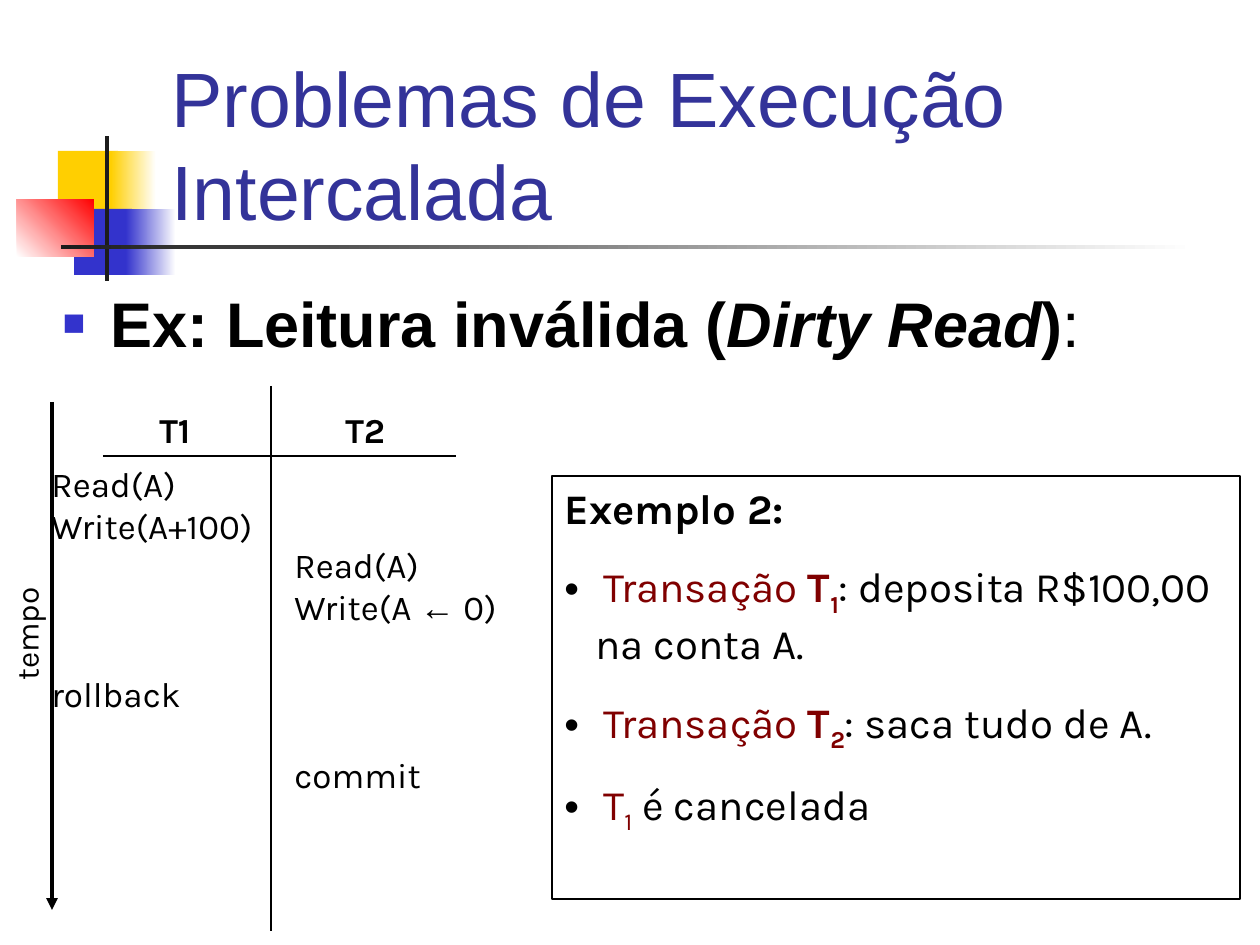
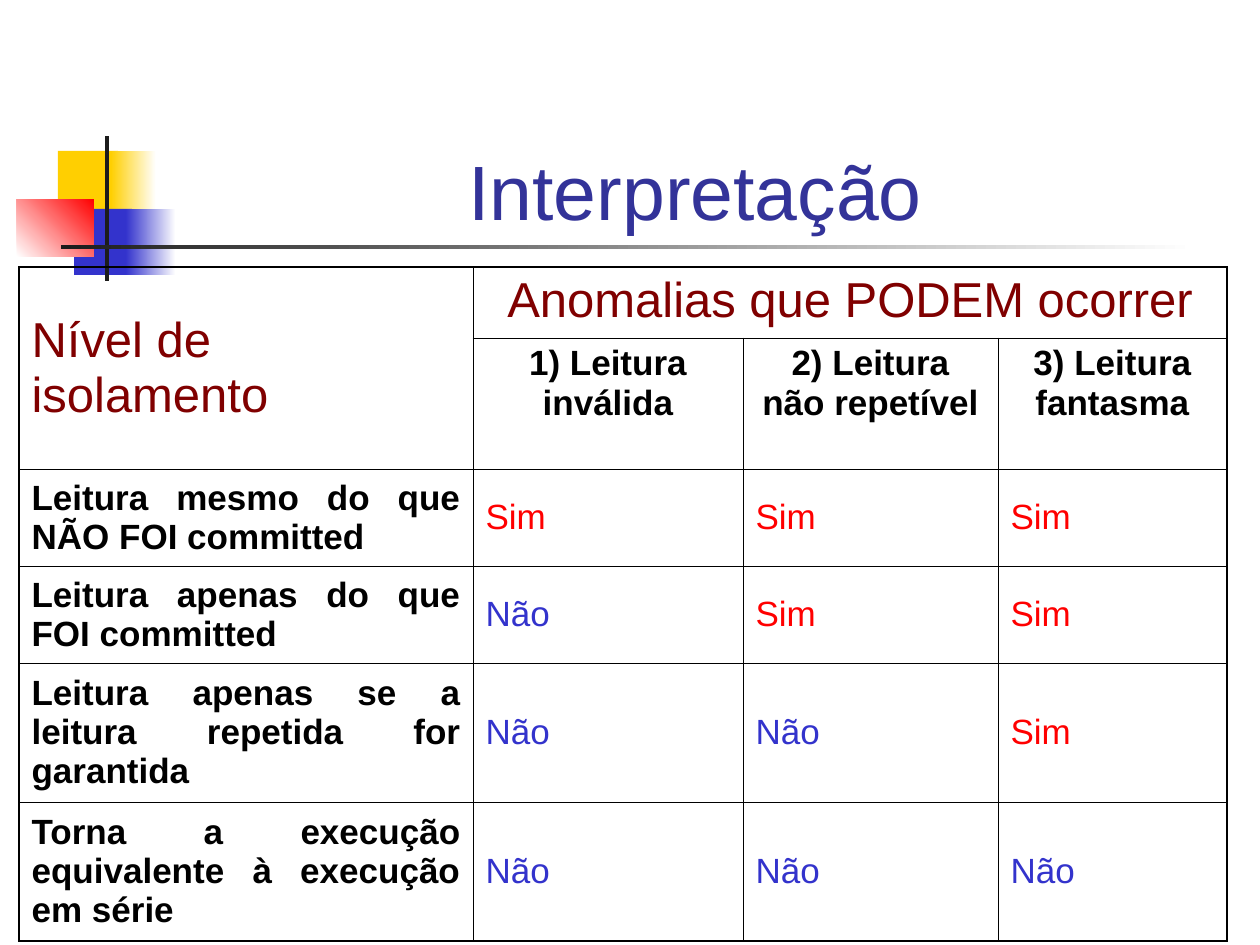
from lxml import etree
from pptx import Presentation
from pptx.dml.color import RGBColor
from pptx.enum.shapes import MSO_CONNECTOR, MSO_SHAPE
from pptx.enum.text import MSO_ANCHOR, MSO_AUTO_SIZE, PP_ALIGN
from pptx.oxml.ns import qn
from pptx.util import Pt

RECT = MSO_SHAPE.RECTANGLE
STRAIGHT = MSO_CONNECTOR.STRAIGHT
LEFT, CENTER, JUSTIFY = PP_ALIGN.LEFT, PP_ALIGN.CENTER, PP_ALIGN.JUSTIFY
TOP, MIDDLE, BOTTOM = MSO_ANCHOR.TOP, MSO_ANCHOR.MIDDLE, MSO_ANCHOR.BOTTOM
NO_FIT, GROW = MSO_AUTO_SIZE.NONE, MSO_AUTO_SIZE.SHAPE_TO_FIT_TEXT

EMU_PER_PX = 914400 / 126
COLORS = {
    "black": "000000", "white": "FFFFFF", "ink": "1C1C1C", "title": "333399",
    "blue": "3333CC", "yellow": "FFCF01", "red": "FF0000", "maroon": "800000",
}

# Master decoration: left, top, width, height, gradient start, end, angle
DECORATION = [
    (58, 151, 60, 65, "yellow", None, 0),
    (111, 151, 45, 65, "yellow", "white", 0),
    (74, 209, 58, 66, "blue", None, 0),
    (126, 209, 50, 66, "blue", "white", 0),
    (17, 199, 77, 58, "white", "red", 45),
    (105, 136, 4, 145, "ink", None, 0),
    (61, 245, 1134, 4, "ink", "white", 0),
]

COLUMN_WIDTHS = [454, 270, 255, 229]
ROW_HEIGHTS = [71, 131, 97, 97, 139, 139]
ANOMALIES = ["1) Leitura inválida", "2) Leitura não repetível", "3) Leitura fantasma"]
ISOLATION_LEVELS = [
    ("Leitura mesmo do que NÃO FOI committed", "Sim", "Sim", "Sim"),
    ("Leitura apenas do que FOI committed", "Não", "Sim", "Sim"),
    ("Leitura apenas se a leitura repetida for garantida", "Não", "Não", "Sim"),
    ("Torna a execução equivalente à execução em série", "Não", "Não", "Não"),
]
ANSWER_COLORS = {"Sim": "red", "Não": "blue"}


def px(value):
    return round(value * EMU_PER_PX)


def box(*lengths):
    return [px(length) for length in lengths]


def rgb(name):
    return RGBColor.from_string(COLORS[name])


# Text
def write(paragraph, text, size=20, font="Karla", color="black",
          bold=False, italic=False, subscript=False):
    run = paragraph.add_run()
    run.text = text
    run.font.size = Pt(size)
    run.font.name = font
    run.font.bold = bold
    run.font.italic = italic
    run.font.color.rgb = rgb(color)
    if subscript:
        run.font._element.set("baseline", "-25000")


def start_paragraph(frame, align=LEFT, before=0, margin=0, bullet=None,
                    bullet_color="black", bullet_percent=100):
    first = frame.paragraphs[0]
    paragraph = frame.add_paragraph() if first.runs else first
    paragraph.alignment = align
    paragraph.space_before = Pt(before)
    properties = paragraph._p.get_or_add_pPr()
    properties.set("marL", str(px(margin)))
    properties.set("indent", str(px(-margin if bullet else 0)))
    if bullet:
        color = etree.SubElement(properties, qn("a:buClr"))
        etree.SubElement(color, qn("a:srgbClr"), val=COLORS[bullet_color])
        etree.SubElement(properties, qn("a:buSzPct"), val=str(bullet_percent * 1000))
        etree.SubElement(properties, qn("a:buFont"), typeface="Arial")
        etree.SubElement(properties, qn("a:buChar"), char=bullet)
    return paragraph


def set_title(slide, text, align=LEFT):
    title = slide.shapes.title
    title.left, title.top, title.width, title.height = box(159, 84, 1073, 158)
    frame = title.text_frame
    frame.auto_size = NO_FIT
    frame.vertical_anchor = BOTTOM
    write(start_paragraph(frame, align), text, size=44, font="Arial", color="title")


def add_label(slide, left, top, width, height, rotation=0):
    label = slide.shapes.add_textbox(*box(left, top, width, height))
    label.rotation = rotation
    frame = label.text_frame
    frame.word_wrap = False
    frame.auto_size = GROW
    return frame


# Shapes and lines
def add_rect(slide, left, top, width, height):
    rect = slide.shapes.add_shape(RECT, *box(left, top, width, height))
    rect.shadow.inherit = False
    return rect


def add_line(slide, x1, y1, x2, y2, weight=1.5, arrow=False):
    connector = slide.shapes.add_connector(STRAIGHT, *box(x1, y1, x2, y2))
    connector.line.color.rgb = rgb("black")
    connector.line.width = Pt(weight)
    if arrow:
        etree.SubElement(connector.line._get_or_add_ln(), qn("a:tailEnd"), type="triangle")
    etree.SubElement(connector._element.spPr, qn("a:effectLst"))


def decorate_master(master, slide):
    """Draw the coloured blocks and rules, then hand them to the master."""
    for number, (left, top, width, height, start, end, angle) in enumerate(DECORATION):
        block = add_rect(slide, left, top, width, height)
        block.line.fill.background()
        if end:
            block.fill.gradient()
            block.fill.gradient_angle = angle
            for stop, color in zip(block.fill.gradient_stops, (start, end)):
                stop.color.rgb = rgb(color)
        else:
            block.fill.solid()
            block.fill.fore_color.rgb = rgb(start)
        block.element.nvSpPr.cNvPr.id = 100 + number
        master.shapes.element.append(block.element)


# Table
def write_cell(cell, text, align=LEFT, anchor=MIDDLE, before=5, **font_format):
    cell.vertical_anchor = anchor
    write(start_paragraph(cell.text_frame, align, before), text, font="Arial", **font_format)


def set_borders(cell, outer_sides):
    properties = cell._tc.get_or_add_tcPr()
    for position, side in enumerate("LRTB"):
        weight = 1.08 if side in outer_sides else 0.45
        line = etree.Element(qn(f"a:ln{side}"), w=str(Pt(weight)))
        fill = etree.SubElement(line, qn("a:solidFill"))
        etree.SubElement(fill, qn("a:srgbClr"), val=COLORS["black"])
        properties.insert(position, line)


def add_grid(slide, left, top, widths, heights):
    frame = slide.shapes.add_table(
        len(heights), len(widths), *box(left, top, sum(widths), sum(heights)))
    table = frame.table
    table.first_row = table.horz_banding = False
    for column, width in zip(table.columns, widths):
        column.width = px(width)
    for row, height in zip(table.rows, heights):
        row.height = px(height)
    return table


def frame_grid(table):
    last_row, last_column = len(table.rows), len(table.columns)
    for r in range(last_row):
        for c in range(last_column):
            cell = table.cell(r, c)
            cell.fill.background()
            at_edge = {"L": c == 0, "R": c + cell.span_width == last_column,
                       "T": r == 0, "B": r + cell.span_height == last_row}
            set_borders(cell, [side for side, outer in at_edge.items() if outer])


# Slides
def build_schedule(slide):
    for name, left in (("T1", 147), ("T2", 333)):
        write(start_paragraph(add_label(slide, left, 402, 66, 55)), name, bold=True)
    add_line(slide, 271, 386, 271, 931)
    add_line(slide, 103, 456, 456, 456)

    first_steps = add_label(slide, 39, 456, 237, 265)
    write(start_paragraph(first_steps), "Read(A)")
    write(start_paragraph(first_steps), "Write(A+100)")
    write(start_paragraph(first_steps, before=72), "rollback")

    second_steps = add_label(slide, 282, 537, 231, 265)
    write(start_paragraph(second_steps), "Read(A)")
    assignment = start_paragraph(second_steps)
    write(assignment, "Write(A ")
    write(assignment, "←", font="Arial")
    write(assignment, " 0)")
    write(start_paragraph(second_steps, before=72), "commit")

    add_line(slide, 52, 402, 52, 910, weight=2.25, arrow=True)
    write(start_paragraph(add_label(slide, -35, 607, 122, 50, rotation=270)), "tempo", size=18)


def build_example(slide):
    example = add_rect(slide, 552, 476, 688, 423)
    example.fill.background()
    example.line.color.rgb = rgb("black")
    example.line.width = Pt(0.75)
    frame = example.text_frame
    frame.word_wrap = True
    frame.vertical_anchor = TOP
    write(start_paragraph(frame), "Exemplo 2:", size=24, bold=True)

    def add_step(prefix, number, rest, bold, before):
        step = start_paragraph(frame, before=before, margin=39, bullet="•")
        if prefix:
            write(step, prefix, size=24, color="maroon")
        write(step, "T", size=24, color="maroon", bold=bold)
        write(step, number, size=24, color="maroon", bold=bold, subscript=True)
        write(step, rest, size=24)

    add_step("Transação ", "1", ": deposita R$100,00", True, 16)
    write(start_paragraph(frame, margin=31), "na conta A.", size=24)
    add_step("Transação ", "2", ": saca tudo de A.", True, 16)
    add_step("", "1", " é cancelada", False, 14)


def build_dirty_read(slide):
    set_title(slide, "Problemas de Execução Intercalada")
    topic = slide.placeholders[1]
    topic.left, topic.top, topic.width, topic.height = box(50, 278, 1183, 190)
    topic.text_frame.auto_size = NO_FIT
    heading = start_paragraph(topic.text_frame, before=9, margin=48, bullet="■",
                              bullet_color="blue", bullet_percent=60)
    write(heading, "Ex: Leitura inválida (", size=36, font="Arial", bold=True)
    write(heading, "Dirty Read", size=36, font="Arial", bold=True, italic=True)
    write(heading, ")", size=36, font="Arial", bold=True)
    write(heading, ":", size=36, font="Arial")
    build_schedule(slide)
    build_example(slide)


def build_interpretation(slide):
    set_title(slide, "Interpretação", CENTER)
    levels = add_grid(slide, 19, 267, COLUMN_WIDTHS, ROW_HEIGHTS)
    levels.cell(0, 0).merge(levels.cell(1, 0))
    levels.cell(0, 1).merge(levels.cell(0, 3))
    write_cell(levels.cell(0, 0), "Nível de isolamento", before=7, size=28, color="maroon")
    write_cell(levels.cell(0, 1), "Anomalias que PODEM ocorrer", CENTER, TOP,
               before=7, size=28, color="maroon")
    for c, anomaly in enumerate(ANOMALIES, start=1):
        write_cell(levels.cell(1, c), anomaly, CENTER, TOP, bold=True)
    for r, (level, *answers) in enumerate(ISOLATION_LEVELS, start=2):
        write_cell(levels.cell(r, 0), level, JUSTIFY, bold=True)
        for c, answer in enumerate(answers, start=1):
            write_cell(levels.cell(r, c), answer, color=ANSWER_COLORS[answer])
    frame_grid(levels)


def main():
    deck = Presentation()
    deck.slide_width, deck.slide_height = box(1260, 945)
    title_and_content, title_only = deck.slide_layouts[1], deck.slide_layouts[5]
    dirty_read = deck.slides.add_slide(title_and_content)
    decorate_master(deck.slide_master, dirty_read)
    build_dirty_read(dirty_read)
    build_interpretation(deck.slides.add_slide(title_only))
    deck.save("out.pptx")


if __name__ == "__main__":
    main()
